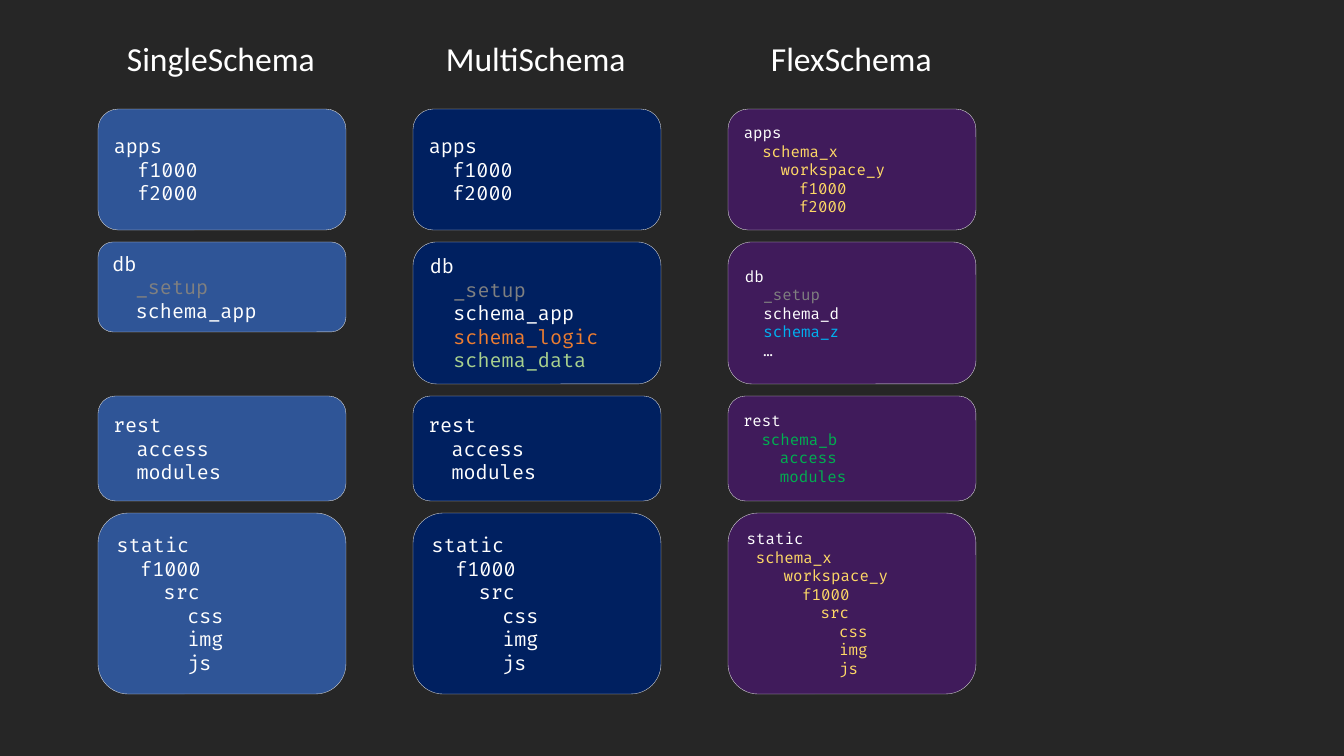
import pptx
import pptx.dml.color
import pptx.enum.shapes
import pptx.enum.text
import pptx.util

PIXEL = 914400 / 100.8
THEME = {
    "background": "262626", "outline": "DBDBDB",
    "white": "FFFFFF", "grey": "808080", "orange": "ED7D31", "lime": "A9D18E",
    "yellow": "FFD966", "cyan": "00B0F0", "green": "00B050",
    "single": "2F5597", "multi": "002060", "flex": "401B5B",
    "heading_font": "Calibri", "heading_size": 24,
    "code_font": "Fira Code", "code_size": 14, "small_code_size": 11,
}


def px(count):
    return pptx.util.Emu(round(count * PIXEL))


def color(name):
    return pptx.dml.color.RGBColor.from_string(THEME[name])


# Folder trees: each line is (indent in characters, name, colour)
apps = [(0, "apps", "white"), (2, "f1000", "white"), (2, "f2000", "white")]
rest = [(0, "rest", "white"), (2, "access", "white"), (2, "modules", "white")]
static = [(0, "static", "white"), (2, "f1000", "white"), (4, "src", "white"),
          (6, "css", "white"), (6, "img", "white"), (6, "js", "white")]
single_db = [(0, "db", "white"), (2, "_setup", "grey"), (2, "schema_app", "white")]
multi_db = single_db + [(2, "schema_logic", "orange"), (2, "schema_data", "lime")]

flex_apps = [(0, "apps", "white"), (2, "schema_x", "yellow"), (4, "workspace_y", "yellow"),
             (6, "f1000", "yellow"), (6, "f2000", "yellow")]
flex_db = [(0, "db", "white"), (2, "_setup", "grey"), (2, "schema_d", "white"),
           (2, "schema_z", "cyan"), (2, "…", "white")]
flex_rest = [(0, "rest", "white"), (2, "schema_b", "green"),
             (4, "access", "green"), (4, "modules", "green")]
flex_static = [(0, "static", "white"), (1, "schema_x", "yellow"), (4, "workspace_y", "yellow"),
               (6, "f1000", "yellow"), (8, "src", "yellow"),
               (10, "css", "yellow"), (10, "img", "yellow"), (10, "js", "yellow")]

# Columns: heading, heading width, fill, code size, box heights, trees
LEFT, TOP, BOX_WIDTH, COLUMN_PITCH, ROW_GAP = 98, 109, 248, 315, 12
ROW_HEIGHTS = (121, 142, 105, 181)
CHARACTER_WIDTH = 0.6  # of the type size, in the code font
columns = [
    ("SingleSchema", 210, "single", "code_size", (121, 90, 105, 181),
     (apps, single_db, rest, static)),
    ("MultiSchema", 202, "multi", "code_size", ROW_HEIGHTS,
     (apps, multi_db, rest, static)),
    ("FlexSchema", 182, "flex", "small_code_size", ROW_HEIGHTS,
     (flex_apps, flex_db, flex_rest, flex_static)),
]

deck = pptx.Presentation()
deck.slide_width, deck.slide_height = px(1344), px(756)
page = deck.slides.add_slide(deck.slide_layouts[6])
page.background.fill.solid()
page.background.fill.fore_color.rgb = color("background")

for index, (title, title_width, fill, size, heights, trees) in enumerate(columns):
    left = LEFT + index * COLUMN_PITCH

    # Heading, centred over its column
    heading = page.shapes.add_textbox(
        px(left + (BOX_WIDTH - title_width) / 2), px(33), px(title_width), px(50))
    heading.text_frame.word_wrap = False
    heading.text_frame.auto_size = pptx.enum.text.MSO_AUTO_SIZE.SHAPE_TO_FIT_TEXT
    paragraph = heading.text_frame.paragraphs[0]
    paragraph.text = title
    paragraph.font.name = THEME["heading_font"]
    paragraph.font.size = pptx.util.Pt(THEME["heading_size"])
    paragraph.font.color.rgb = color("white")

    # Folder boxes
    top = TOP
    for row_height, height, tree in zip(ROW_HEIGHTS, heights, trees):
        box = page.shapes.add_shape(
            pptx.enum.shapes.MSO_SHAPE.ROUNDED_RECTANGLE,
            px(left), px(top), px(BOX_WIDTH), px(height))
        box.shadow.inherit = False
        box.fill.solid()
        box.fill.fore_color.rgb = color(fill)
        box.line.color.rgb = color("outline")
        box.line.width = pptx.util.Pt(0.25)
        frame = box.text_frame
        frame.word_wrap = True
        frame.vertical_anchor = pptx.enum.text.MSO_ANCHOR.MIDDLE
        frame.text = "\n".join(name for _, name, _ in tree)
        for paragraph, (indent, _, tint) in zip(frame.paragraphs, tree):
            paragraph.alignment = pptx.enum.text.PP_ALIGN.LEFT
            paragraph.font.name = THEME["code_font"]
            paragraph.font.size = pptx.util.Pt(THEME[size])
            paragraph.font.color.rgb = color(tint)
            margin = pptx.util.Pt(indent * CHARACTER_WIDTH * THEME[size])
            paragraph._p.get_or_add_pPr().set("marL", str(int(margin)))
        top += row_height + ROW_GAP

deck.save("out.pptx")
